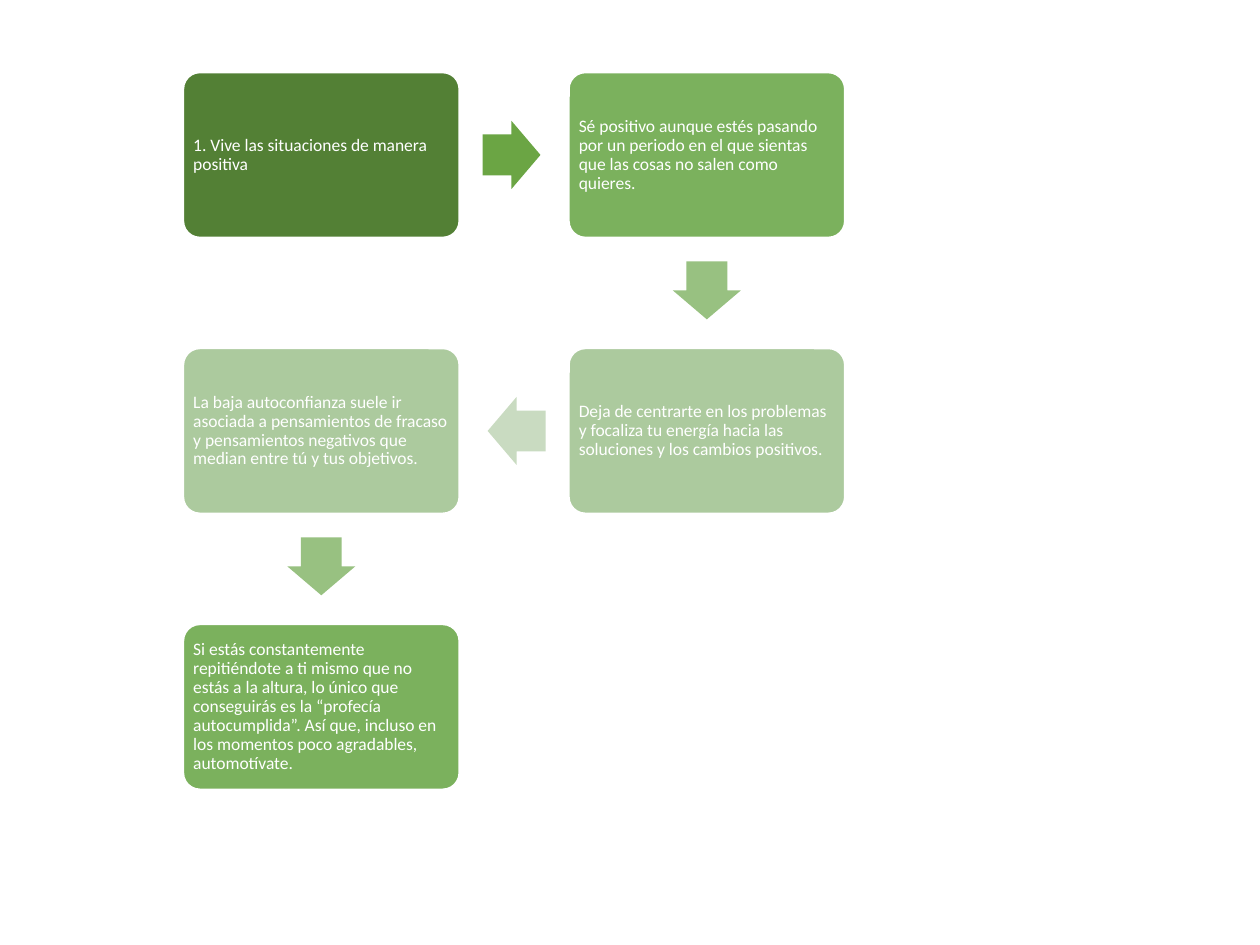
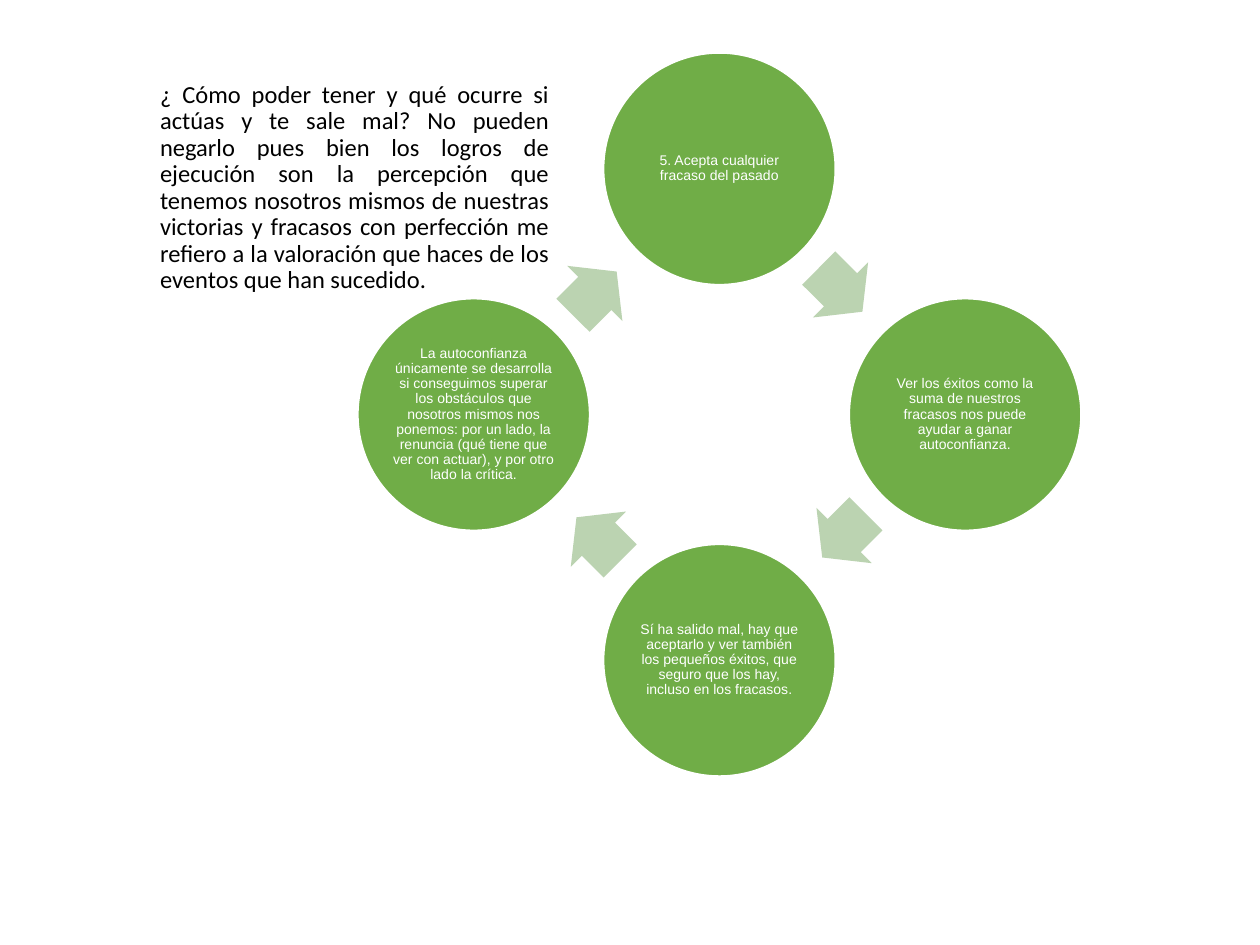
from math import atan2, cos, degrees, hypot, pi, sin
from pptx import Presentation
from pptx.dml.color import RGBColor as Rgb
from pptx.enum.shapes import MSO_SHAPE as Kind
from pptx.enum.text import MSO_ANCHOR as Anchor, MSO_AUTO_SIZE as Fit, PP_ALIGN as Align
from pptx.util import Inches, Pt

HUES = {
    "white": "FFFFFF", "black": "000000",
    "deep": "538035", "mid": "7BB15D", "pale": "ACCA9E",
    "vivid": "6BA544", "soft": "98C181", "faint": "C9DBC1",
    "disc": "70AD47", "turn": "BBD3B1",
}

STEPS = [
    (0, 0, "deep", "1. Vive las situaciones de manera positiva"),
    (1, 0, "mid", "Sé positivo aunque estés pasando por un periodo en el que sientas "
     "que las cosas no salen como quieres."),
    (1, 1, "pale", "Deja de centrarte en los problemas y focaliza tu energía hacia las "
     "soluciones y los cambios positivos."),
    (0, 1, "pale", "La baja autoconfianza suele ir asociada a pensamientos de fracaso y "
     "pensamientos negativos que median entre tú y tus objetivos."),
    (0, 2, "mid", "Si estás constantemente repitiéndote a ti mismo que no estás a la altura, "
     "lo único que conseguirás es la “profecía autocumplida”. Así que, incluso en los "
     "momentos poco agradables, automotívate."),
]
LINKS = ["vivid", "soft", "faint", "soft"]

INTRO = ("¿ Cómo poder tener y qué ocurre si actúas y te sale mal? No pueden negarlo pues "
         "bien los logros de ejecución son la percepción que tenemos nosotros mismos de "
         "nuestras victorias y fracasos con perfección me refiero a la valoración que haces "
         "de los eventos que han sucedido.")
CYCLE = [
    "5. Acepta cualquier fracaso del pasado",
    "Ver los éxitos como la suma de nuestros fracasos nos puede ayudar a ganar autoconfianza.",
    "Sí ha salido mal, hay que aceptarlo y ver también los pequeños éxitos, que seguro que "
    "los hay, incluso en los fracasos.",
    "La autoconfianza únicamente se desarrolla si conseguimos superar los obstáculos que "
    "nosotros mismos nos ponemos: por un lado, la renuncia (qué tiene que ver con actuar), "
    "y por otro lado la crítica.",
]

BOX = (2.19, 1.31)
STRIDE = (3.06, 2.19)
FIRST = (2.55, 1.23)
HUB, REACH, DISC = (5.71, 3.29), 1.95, (1.84, 1.84)
LAG = 0.02


def tint(name):
    return Rgb.from_string(HUES[name])


def write(frame, text, size=10, font="Calibri", hue="white", align=Align.LEFT,
          anchor=Anchor.MIDDLE, inset=None, before=0):
    frame.word_wrap = True
    frame.auto_size = Fit.NONE
    frame.vertical_anchor = anchor
    if inset is not None:
        frame.margin_left = frame.margin_right = Inches(inset)
        frame.margin_top = frame.margin_bottom = Inches(inset)
    para = frame.paragraphs[0]
    para.alignment = align
    para.line_spacing = 0.9
    para.space_before = Pt(before)
    run = para.add_run()
    run.text = text
    run.font.size = Pt(size)
    run.font.name = font
    run.font.color.rgb = tint(hue)
    return para


def place(slide, kind, mid, size, fill, edge=None):
    (x, y), (w, h) = mid, size
    shape = slide.shapes.add_shape(kind, Inches(x - w / 2), Inches(y - h / 2),
                                   Inches(w), Inches(h))
    shape.shadow.inherit = False
    shape.fill.solid()
    shape.fill.fore_color.rgb = tint(fill)
    if edge:
        shape.line.color.rgb = tint(edge)
        shape.line.width = Pt(1)
    else:
        shape.line.fill.background()
    return shape


def link(slide, start, end, size, fill):
    dx, dy = end[0] - start[0], end[1] - start[1]
    span = hypot(dx, dy)
    mid = ((start[0] + end[0]) / 2 - LAG * dx / span,
           (start[1] + end[1]) / 2 - LAG * dy / span)
    arrow = place(slide, Kind.RIGHT_ARROW, mid, size, fill)
    arrow.adjustments[0] = 0.6
    arrow.adjustments[1] = 0.5
    arrow.rotation = round(degrees(atan2(dy, dx))) % 360


def draw_steps(deck):
    slide = deck.slides.add_slide(deck.slide_layouts[6])
    mids = [(FIRST[0] + col * STRIDE[0], FIRST[1] + row * STRIDE[1])
            for col, row, _, _ in STEPS]
    for mid, (_, _, fill, text) in zip(mids, STEPS):
        box = place(slide, Kind.ROUNDED_RECTANGLE, mid, BOX, fill, edge="white")
        box.adjustments[0] = 0.1
        write(box.text_frame, text, inset=0.04)
    for start, end, fill in zip(mids, mids[1:], LINKS):
        link(slide, start, end, (0.46, 0.54), fill)


def draw_cycle(deck):
    slide = deck.slides.add_slide(deck.slide_layouts[1])
    title = slide.shapes.title.element
    title.getparent().remove(title)
    body = slide.placeholders[1]
    body.left, body.top, body.width, body.height = map(Inches, (1.17, 0.6, 3.29, 1.78))
    para = write(body.text_frame, INTRO, size=14, hue="black", align=Align.JUSTIFY,
                 anchor=Anchor.TOP, before=10)
    props = para._p.get_or_add_pPr()
    props.set("marL", "0")
    props.set("indent", "0")
    props.insert_element_before(props.makeelement(
        "{http://schemas.openxmlformats.org/drawingml/2006/main}buNone", {}),
        "a:tabLst", "a:defRPr", "a:extLst")

    count = len(CYCLE)
    turns = [2 * pi * i / count for i in range(count)]
    mids = [(HUB[0] + REACH * sin(t), HUB[1] - REACH * cos(t)) for t in turns]
    for mid, text in zip(mids, CYCLE):
        disc = place(slide, Kind.OVAL, mid, DISC, "disc", edge="white")
        write(disc.text_frame, text, size=8, font="Arial", align=Align.CENTER, inset=0.01)
    for start, end in zip(mids, mids[1:] + mids[:1]):
        link(slide, start, end, (0.49, 0.62), "turn")


def main():
    deck = Presentation()
    deck.slide_width, deck.slide_height = Inches(10), Inches(7.5)
    draw_steps(deck)
    draw_cycle(deck)
    deck.save("out.pptx")


if __name__ == "__main__":
    main()
